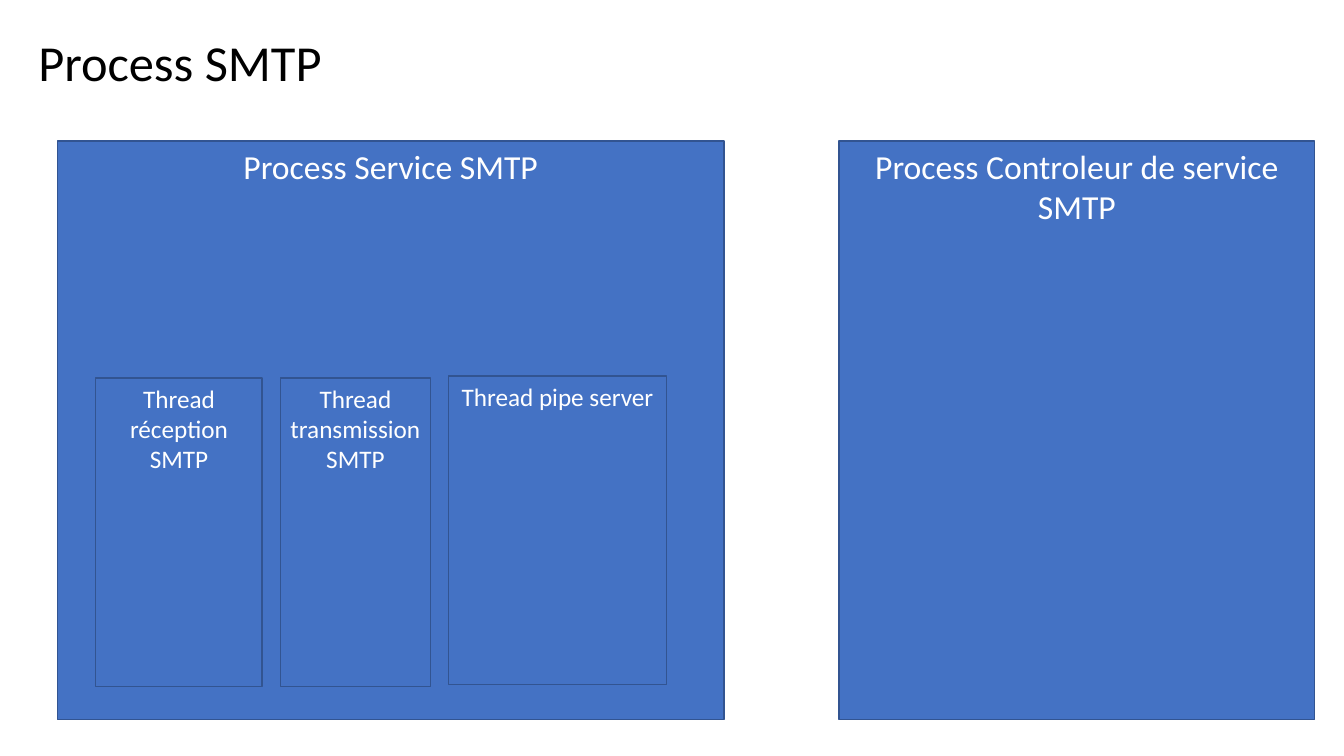
from dataclasses import dataclass

from pptx import Presentation
from pptx.dml.color import RGBColor
from pptx.enum import shapes, text
from pptx.util import Inches, Pt

COLOURS = {"fill": "4472C4", "line": "325491", "title": "000000", "label": "FFFFFF"}
FONT = "Calibri"


@dataclass
class Box:
    label: str
    left: float
    top: float
    width: float
    height: float
    size: int


def process(label: str, left: float, width: float) -> Box:
    return Box(label, left, 1.4, width, 5.74, 24)


def thread(label: str, left: float, width: float, top: float = 3.75) -> Box:
    return Box(label, left, top, width, 3.06, 18)


BOXES = [
    process("Process Service SMTP", 0.57, 6.61),
    thread("Thread réception SMTP", 0.95, 1.65),
    thread("Thread transmission SMTP", 2.78, 1.49),
    thread("Thread pipe server", 4.45, 2.16, top=3.73),
    process("Process Controleur de service SMTP", 8.32, 4.72),
]


def colour(name: str) -> RGBColor:
    return RGBColor.from_string(COLOURS[name])


def write(shape, label: str, size: int, colour_name: str, alignment, anchor, wrap: bool = True) -> None:
    frame = shape.text_frame
    frame.text = label
    frame.word_wrap = wrap
    frame.auto_size = text.MSO_AUTO_SIZE.NONE if wrap else text.MSO_AUTO_SIZE.SHAPE_TO_FIT_TEXT
    frame.vertical_anchor = anchor
    paragraph = frame.paragraphs[0]
    paragraph.alignment = alignment
    paragraph.line_spacing = 1.0
    font = paragraph.runs[0].font
    for name, value in {"name": FONT, "size": Pt(size), "bold": False}.items():
        setattr(font, name, value)
    font.color.rgb = colour(colour_name)


def draw_box(slide, box: Box) -> None:
    bounds = map(Inches, (box.left, box.top, box.width, box.height))
    shape = slide.shapes.add_shape(shapes.MSO_SHAPE.RECTANGLE, *bounds)
    shape.shadow.inherit = False
    shape.fill.solid()
    shape.fill.fore_color.rgb = colour("fill")
    shape.line.color.rgb = colour("line")
    shape.line.width = Pt(1)
    write(shape, box.label, box.size, "label", text.PP_ALIGN.CENTER, text.MSO_ANCHOR.TOP)


def main() -> None:
    presentation = Presentation()
    presentation.slide_width = Inches(13.33)
    presentation.slide_height = Inches(7.5)
    slide = presentation.slides.add_slide(presentation.slide_layouts[5])

    # Title
    title = slide.shapes.title
    bounds = {"left": 0.28, "top": 0.26, "width": 3.07, "height": 0.71}
    for name, value in bounds.items():
        setattr(title, name, Inches(value))
    write(title, "Process SMTP", 36, "title", text.PP_ALIGN.LEFT, text.MSO_ANCHOR.TOP, wrap=False)

    # Processes and their threads
    for box in BOXES:
        draw_box(slide, box)

    presentation.save("out.pptx")


if __name__ == "__main__":
    main()
